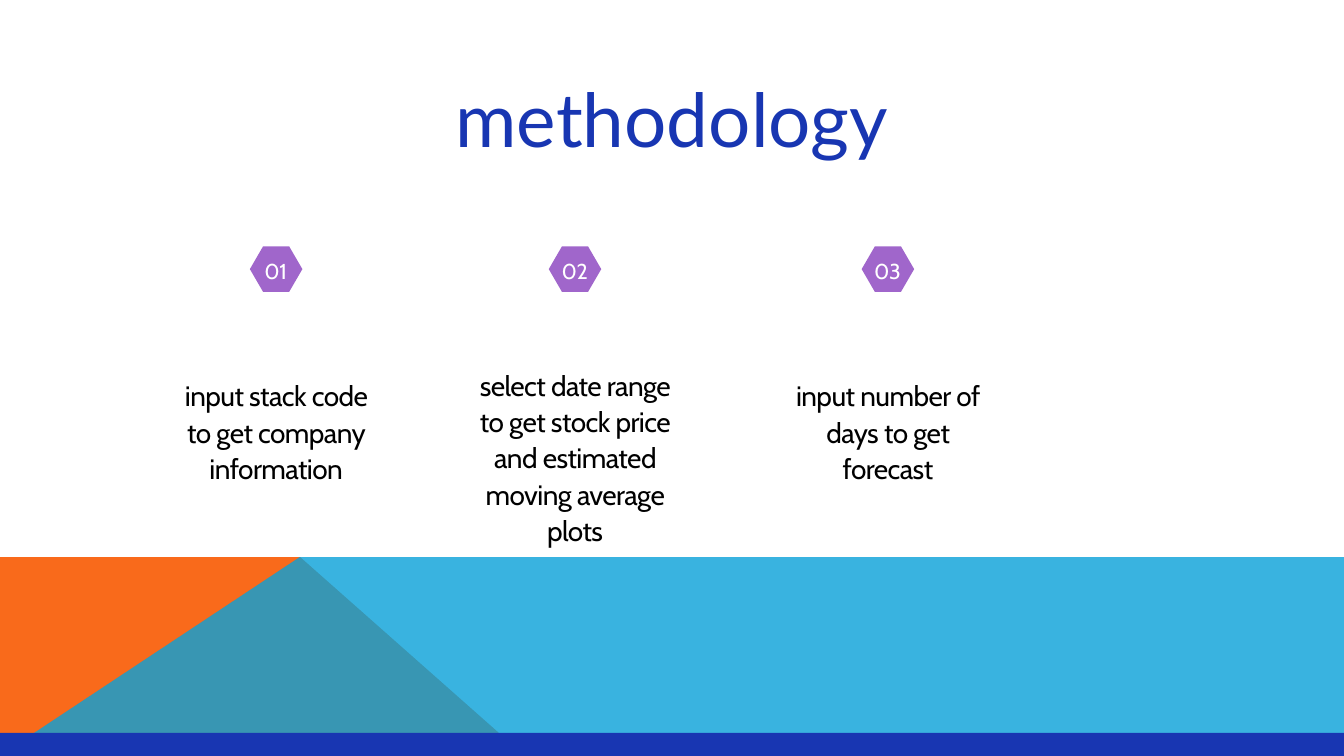
from pptx import Presentation, util as u
from pptx.dml.color import RGBColor
from pptx.enum import shapes, text
from lxml import etree

PX = 9525  # EMU per px, 96 px to the inch
A = "{http://schemas.openxmlformats.org/drawingml/2006/main}"
C = {"orange": "F96A1B", "sky": "08A1D9", "purple": "A066CB",
     "navy": "1836B2", "white": "FFFFFF", "black": "000000"}

prs = Presentation()
prs.slide_width, prs.slide_height = 1920 * PX, 1080 * PX
s = prs.slides.add_slide(prs.slide_layouts[6])


def paint(sp, color):
    sp.shadow.inherit = False
    sp.fill.solid()
    sp.fill.fore_color.rgb = RGBColor.from_string(C[color])
    sp.line.fill.background()


def add_text(box, words, font, size, leading, color, spacing=0):
    tf = s.shapes.add_textbox(*[v * PX for v in box]).text_frame
    tf.margin_left = tf.margin_right = tf.margin_top = tf.margin_bottom = 0
    tf.word_wrap = True
    tf.auto_size = text.MSO_AUTO_SIZE.SHAPE_TO_FIT_TEXT
    p = tf.paragraphs[0]
    p.alignment = text.PP_ALIGN.CENTER
    p.line_spacing = u.Pt(leading)
    r = p.add_run()
    r.text = words
    p.font.name, p.font.size = font, u.Pt(size)
    p.font.color.rgb = RGBColor.from_string(C[color])
    if spacing:
        r.font._element.set("spc", str(spacing))


# Coloured band: orange wedge under a translucent blue one
for color, points in [
    ("orange", [(0, 1080), (-1, 796), (429, 796), (750, 1080)]),
    ("sky", [(-1, 1080), (428, 796), (1920, 796), (1920, 1080)]),
]:
    fb = s.shapes.build_freeform(*points[0], scale=PX)
    fb.add_line_segments(points[1:], close=True)
    sp = fb.convert_to_shape()
    paint(sp, color)
    if color == "sky":
        clr = sp._element.spPr.find(f"{A}solidFill/{A}srgbClr")
        etree.SubElement(clr, A + "alpha", val="80000")

# Bottom bar
sp = s.shapes.add_shape(shapes.MSO_SHAPE.RECTANGLE,
                        *[v * PX for v in (-19, 1047, 1957, 53)])
paint(sp, "navy")

# Title
add_text((198, 115, 1524, 121), "methodology", "Lato", 80, 88, "navy")

# Numbered steps: left of hexagon, top and height of description, description
steps = [
    (357, 537, 207, "input stack code to get company information"),
    (784, 522, 311, "select date range to get stock price and estimated "
                    "moving average plots"),
    (1231, 537, 155, "input number of days to get forecast"),
]
for n, (x, y, h, words) in enumerate(steps, 1):
    sp = s.shapes.add_shape(shapes.MSO_SHAPE.HEXAGON,
                            x * PX, 352 * PX, 75 * PX, 65 * PX)
    sp.adjustments[0] = 0.29
    paint(sp, "purple")
    add_text((x + 16, 363, 42, 40), f"{n:02}", "Cabin", 23.1, 32.4, "white", -50)
    add_text((x - 104, y, 283, h), words, "Cabin", 30, 39, "black", -60)

prs.save("out.pptx")
